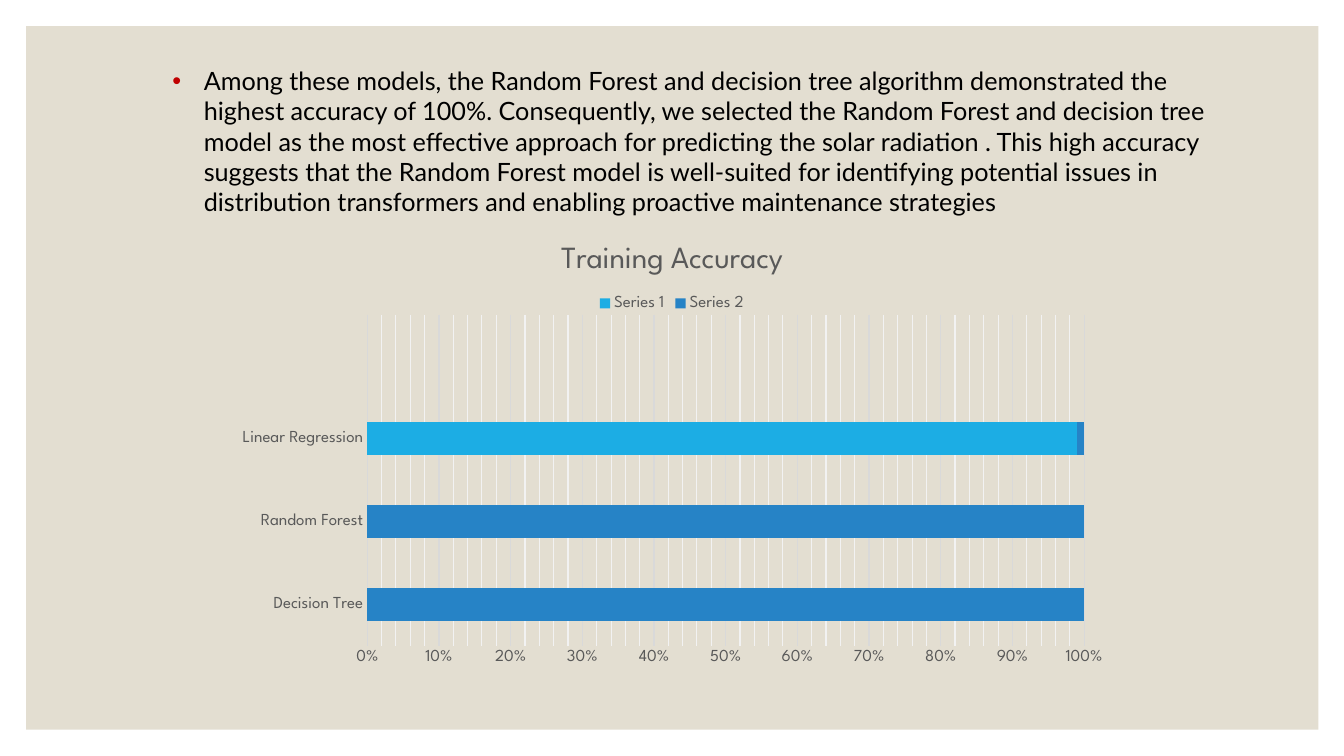
from lxml import etree
from pptx import Presentation
from pptx.chart.data import CategoryChartData
from pptx.dml.color import RGBColor
from pptx.enum.chart import XL_CHART_TYPE as ChartType, XL_LEGEND_POSITION as LegendPosition, XL_TICK_MARK as TickMark
from pptx.enum.shapes import MSO_SHAPE as Shape
from pptx.oxml import parse_xml
from pptx.oxml.ns import nsdecls, qn
from pptx.util import Pt

SAND = RGBColor(0xE3, 0xDE, 0xD1)
RED = RGBColor(0xC0, 0, 0)
BLACK = RGBColor(0, 0, 0)
GREY = RGBColor(0x59, 0x59, 0x59)
GRID = RGBColor(0xD9, 0xD9, 0xD9)
MINOR_GRID = RGBColor(0xF2, 0xF2, 0xF2)
SKY = RGBColor(0x1C, 0xAD, 0xE4)
BLUE = RGBColor(0x26, 0x83, 0xC6)


def style_font(font, name, size, color):
    for attribute, value in {"name": name, "size": Pt(size), "bold": False}.items():
        setattr(font, attribute, value)
    font.color.rgb = color


prs = Presentation()
prs.slide_width, prs.slide_height = Pt(960), Pt(540)
slide = prs.slides.add_slide(prs.slide_layouts[6])

# Background panel
panel = slide.shapes.add_shape(Shape.RECTANGLE, Pt(18.72), Pt(18.72), Pt(923), Pt(502.5))
panel.shadow.inherit = False
panel.fill.solid()
panel.fill.fore_color.rgb = SAND
panel.line.fill.background()

# Conclusion
conclusion = slide.shapes.add_textbox(Pt(116), Pt(43.2), Pt(762.5), Pt(116.6)).text_frame
conclusion.word_wrap = True
bullet = conclusion.paragraphs[0]
sentence = bullet.add_run()
sentence.text = (
    "Among these models, the Random Forest and decision tree algorithm demonstrated the "
    "highest accuracy of 100%. Consequently, we selected the Random Forest and decision tree "
    "model as the most effective approach for predicting the solar radiation . This high accuracy "
    "suggests that the Random Forest model is well-suited for identifying potential issues in "
    "distribution transformers and enabling proactive maintenance strategies"
)
style_font(sentence.font, "Lato", 18, BLACK)
bullet_format = bullet._p.get_or_add_pPr()
bullet_format.set("marL", str(Pt(22.5)))
bullet_format.set("indent", str(-Pt(22.5)))
bullet_color = etree.SubElement(bullet_format, qn("a:buClr"))
etree.SubElement(bullet_color, qn("a:srgbClr"), val=str(RED))
etree.SubElement(bullet_format, qn("a:buFont"), typeface="Arial")
etree.SubElement(bullet_format, qn("a:buChar"), char="•")

# Accuracy chart
accuracy = CategoryChartData()
accuracy.categories = ["Decision Tree", "Random Forest", "Linear Regression", ""]
accuracy.add_series("Series 1", [None, None, 99, None])
accuracy.add_series("Series 2", [100, 100, 1, None])
chart = slide.shapes.add_chart(
    ChartType.BAR_STACKED_100, Pt(160), Pt(160), Pt(640), Pt(324), accuracy
).chart
style_font(chart.font, "League Spartan", 12, GREY)

chart.has_title = True
chart.chart_title.include_in_layout = False
heading = chart.chart_title.text_frame.paragraphs[0].add_run()
heading.text = "Training Accuracy"
style_font(heading.font, "League Spartan", 22, GREY)

chart.has_legend = True
chart.legend.position = LegendPosition.TOP
chart.legend.include_in_layout = False
style_font(chart.legend.font, "League Spartan", 12, GREY)

bars = chart.plots[0]
for attribute, value in {"gap_width": 150, "overlap": 100, "vary_by_categories": False}.items():
    setattr(bars, attribute, value)
for series, color in zip(bars.series, (SKY, BLUE)):
    series.format.fill.solid()
    series.format.fill.fore_color.rgb = color

models, percent = chart.category_axis, chart.value_axis
for axis in (models, percent):
    axis.major_tick_mark = axis.minor_tick_mark = TickMark.NONE
    style_font(axis.tick_labels.font, "League Spartan", 12, GREY)
scale = {
    "minimum_scale": 0, "maximum_scale": 1, "major_unit": 0.1, "minor_unit": 0.02,
    "has_major_gridlines": True, "has_minor_gridlines": True,
}
for attribute, value in scale.items():
    setattr(percent, attribute, value)
percent.tick_labels.number_format = "0%"
percent.tick_labels.number_format_is_linked = False
percent.format.line.fill.background()
for line in (models.format.line, percent.major_gridlines.format.line):
    line.color.rgb = GRID
    line.width = Pt(0.75)

plot_area = chart._chartSpace.chart.plotArea
minor_gridlines = plot_area.find(f".//{qn('c:minorGridlines')}")
minor_gridlines.append(parse_xml(
    f'<c:spPr {nsdecls("c", "a")}><a:ln w="{Pt(0.75)}"><a:solidFill>'
    f'<a:srgbClr val="{MINOR_GRID}"/></a:solidFill></a:ln></c:spPr>'
))

# Fixed inner plot area, as fractions of the chart
for layout in plot_area.findall(qn("c:layout")):
    plot_area.remove(layout)
plot_layout = parse_xml(f"<c:layout {nsdecls('c')}><c:manualLayout/></c:layout>")
for tag, value in (
    ("layoutTarget", "inner"), ("xMode", "edge"), ("yMode", "edge"),
    ("x", "0.16"), ("y", "0.2"), ("w", "0.8"), ("h", "0.73"),
):
    etree.SubElement(plot_layout[0], qn(f"c:{tag}"), val=value)
plot_area.insert(0, plot_layout)

prs.save("out.pptx")
